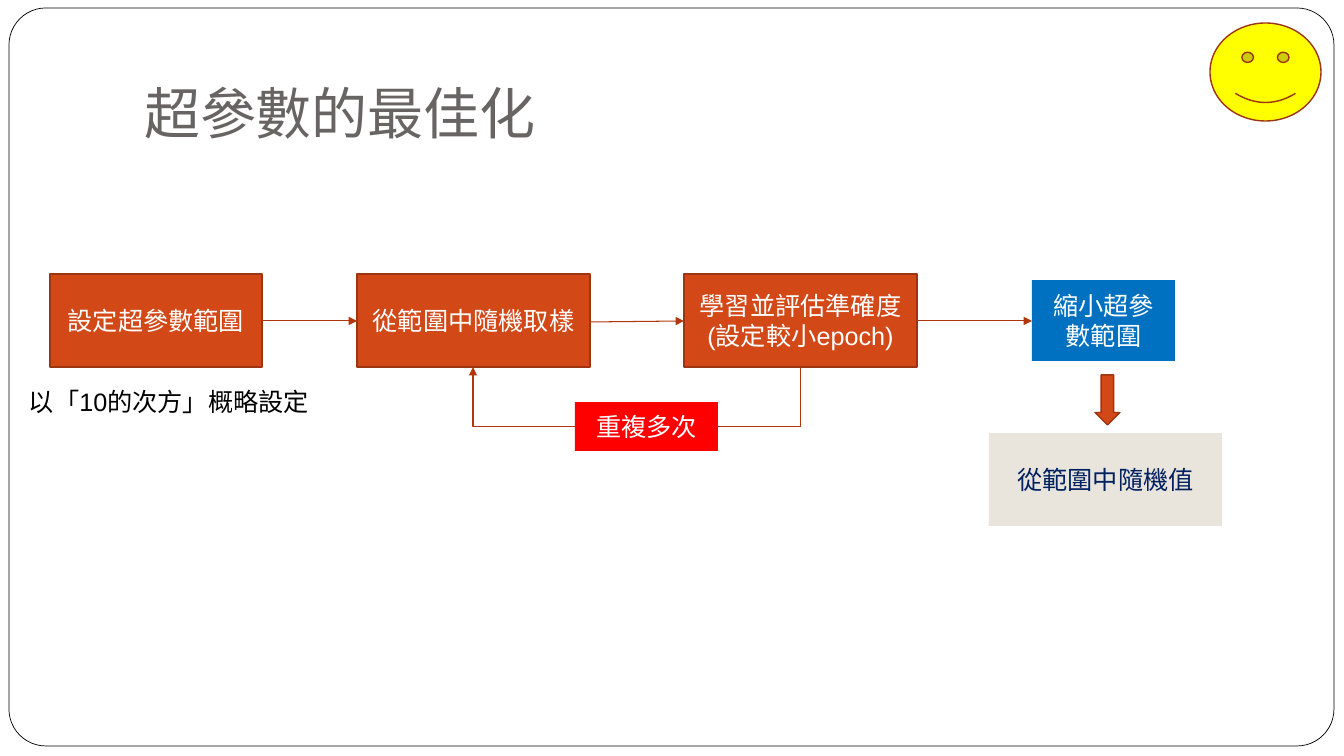
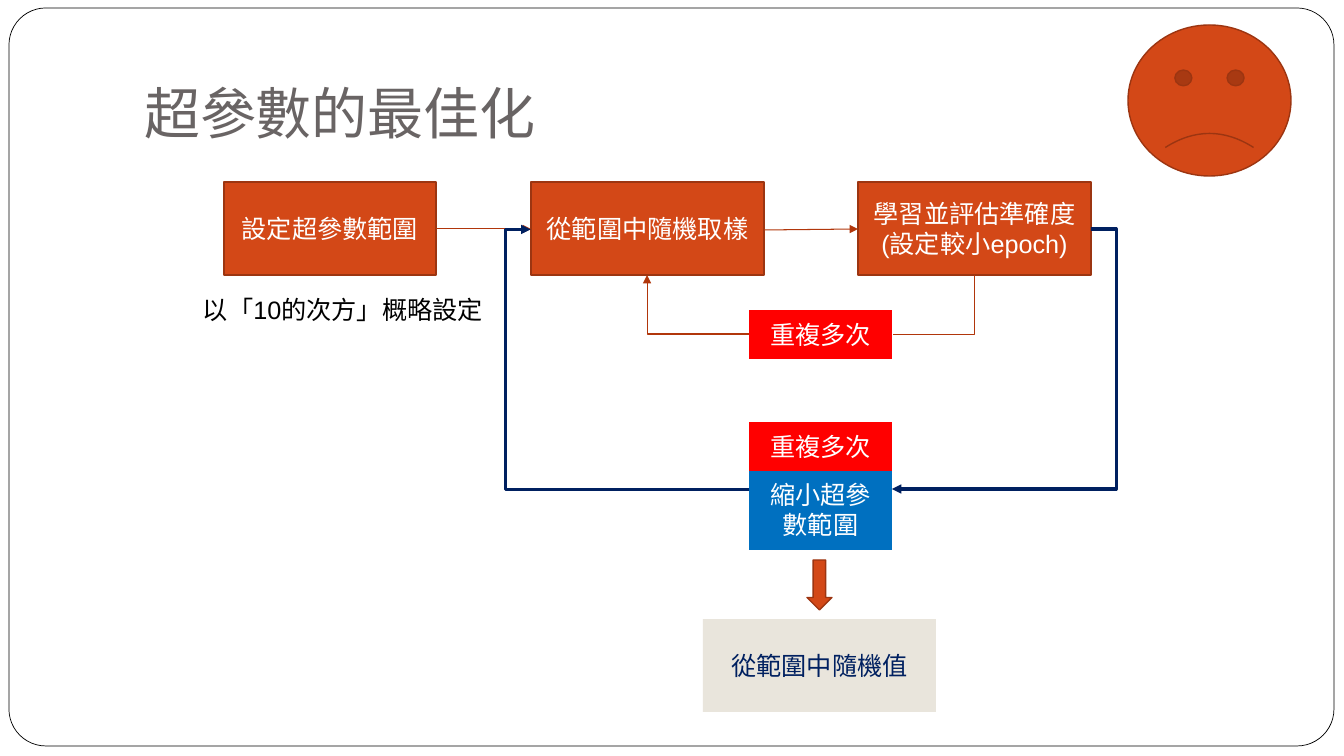
from lxml.etree import SubElement
from pptx import Presentation
from pptx.dml.color import RGBColor
from pptx.enum.shapes import MSO_CONNECTOR, MSO_SHAPE
from pptx.enum.text import MSO_ANCHOR, MSO_AUTO_SIZE, PP_ALIGN
from pptx.oxml.ns import qn
from pptx.util import Emu, Inches, Pt

WHITE = RGBColor(0xFF, 0xFF, 0xFF)
BLACK = RGBColor(0x00, 0x00, 0x00)
GREY = RGBColor(0x69, 0x64, 0x64)
ORANGE = RGBColor(0xD3, 0x48, 0x17)
RUST = RGBColor(0x9C, 0x35, 0x11)
ARROW = RGBColor(0xB1, 0x36, 0x0B)
RED = RGBColor(0xFF, 0x00, 0x00)
BLUE = RGBColor(0x00, 0x70, 0xC0)
BEIGE = RGBColor(0xE9, 0xE5, 0xDC)
NAVY = RGBColor(0x00, 0x20, 0x60)
YELLOW = RGBColor(0xFF, 0xFF, 0x00)

# Content: lengths are pixels
PIXEL = 914400 / 100.8
TITLE = "超參數的最佳化"
NOTE = "以「10的次方」概略設定"
NOTE_AREA = (19, 381, 304, 40)
REPEAT, NARROW, RESULT = "重複多次", "縮小超參數範圍", "從範圍中隨機值"
SMALL, TALL, WIDE, DOWN = (143, 49), (143, 81), (233, 93), (25, 50)

# Boxes: text, place, size, fill, outline, text colour
FLOW_BOXES = [
    ("設定超參數範圍", (50, 274), (212, 93), ORANGE, RUST, WHITE),
    ("從範圍中隨機取樣", (357, 274), WIDE, ORANGE, RUST, WHITE),
    ("學習並評估準確度\n(設定較小epoch)", (684, 274), WIDE, ORANGE, RUST, WHITE),
    (REPEAT, (575, 402), SMALL, RED, None, WHITE),
]
# Links: preset, start and end corner, rotation, adjustments, arrowhead
FLOW_LINKS = [
    ("line", (262, 321, 357, 321), 0, (), True),
    ("line", (590, 322, 684, 321), 0, (), True),
    ("bentConnector2", (730, 356, 789, 438), 90, (), False),
    ("bentConnector2", (473, 367, 575, 426), 180, (), True),
]
SLIDES = [
    {
        "shift": (0, 0),
        "boxes": [
            (NARROW, (1032, 280), TALL, BLUE, None, WHITE),
            (RESULT, (989, 433), WIDE, BEIGE, None, NAVY),
        ],
        "links": [("line", (917, 321, 1032, 321), 0, (), True)],
        "link_style": (ARROW, 0.75),
        "down": (1095, 375),
        "face": ((1210, 23, 111, 98), YELLOW, 0.05),
    },
    {
        "shift": (174, -92),
        "boxes": [
            (NARROW, (749, 469), TALL, BLUE, None, WHITE),
            (REPEAT, (749, 422), SMALL, RED, None, WHITE),
            (RESULT, (703, 619), WIDE, BEIGE, None, NAVY),
        ],
        "links": [
            ("bentConnector4", (1091, 229, 892, 489), 0, (-12700, 100000), True),
            ("bentConnector4", (510, 469, 770, 250), 270, (0, 111500), True),
        ],
        "link_style": (NAVY, 2.25),
        "down": (807, 560),
        "face": ((1128, 25, 163, 151), ORANGE, -0.05),
    },
]


def emu(*pixels):
    return [Emu(round(value * PIXEL)) for value in pixels]


def style_text(frame, text, size, font, colour, align):
    frame.text = text
    frame.word_wrap = True
    for para in frame.paragraphs:
        para.alignment = align
        for span in para.runs:
            span.font.size = Pt(size)
            span.font.name = font
            span.font.color.rgb = colour


def add_figure(page, preset, area, fill, outline, width=1):
    figure = page.shapes.add_shape(preset, *emu(*area))
    figure.shadow.inherit = False
    figure.fill.solid()
    figure.fill.fore_color.rgb = fill
    if outline is None:
        figure.line.fill.background()
    else:
        figure.line.color.rgb = outline
        figure.line.width = Pt(width)
    return figure


def add_boxes(page, boxes, shift=(0, 0)):
    for text, (left, top), size, fill, outline, colour in boxes:
        area = (left + shift[0], top + shift[1], *size)
        box = add_figure(page, MSO_SHAPE.RECTANGLE, area, fill, outline)
        style_text(box.text_frame, text, 18, "Arial", colour, PP_ALIGN.CENTER)


def add_links(page, links, colour, width, shift=(0, 0)):
    for preset, ends, rotation, adjustments, arrowhead in links:
        moved = [end + shift[index % 2] for index, end in enumerate(ends)]
        kind = MSO_CONNECTOR.STRAIGHT if preset == "line" else MSO_CONNECTOR.ELBOW
        link = page.shapes.add_connector(kind, *emu(*moved))
        link.line.color.rgb = colour
        link.line.width = Pt(width)
        properties = link.element.spPr
        if rotation:
            properties.find(qn("a:xfrm")).set("rot", str(rotation * 60000))
        geometry = properties.find(qn("a:prstGeom"))
        geometry.set("prst", preset)
        for number, value in enumerate(adjustments, 1):
            SubElement(geometry.find(qn("a:avLst")), qn("a:gd"),
                       name=f"adj{number}", fmla=f"val {value}")
        if arrowhead:
            SubElement(properties.find(qn("a:ln")), qn("a:tailEnd"), type="triangle")
        SubElement(properties, qn("a:effectLst"))


def prepare_layout(deck, layout):
    # The rounded frame and the title place belong to the layout
    title = layout.placeholders[0]
    title.left, title.top, title.width, title.height = emu(134, 30, 1142, 126)
    page = deck.slides[0]
    frame = add_figure(page, MSO_SHAPE.ROUNDED_RECTANGLE, (9, 8, 1325, 738),
                       WHITE, BLACK, 0.5)
    frame.adjustments[0] = 0.05
    layout.shapes.element.insert(2, frame.element)


def add_title(page):
    frame = page.shapes.title.text_frame
    style_text(frame, TITLE, 40, "Roboto", GREY, PP_ALIGN.LEFT)
    frame.auto_size = MSO_AUTO_SIZE.NONE
    frame.vertical_anchor = MSO_ANCHOR.BOTTOM
    frame.margin_bottom = Inches(0.1)


deck = Presentation()
deck.slide_width, deck.slide_height = emu(1344, 756)
layout = deck.slide_layouts[5]
pages = [deck.slides.add_slide(layout) for _ in SLIDES]
prepare_layout(deck, layout)

for page, content in zip(pages, SLIDES):
    shift = content["shift"]
    add_title(page)

    # Shared flow
    add_boxes(page, FLOW_BOXES, shift)
    add_links(page, FLOW_LINKS, ARROW, 0.75, shift)
    left, top, width, height = NOTE_AREA
    note = page.shapes.add_textbox(*emu(left + shift[0], top + shift[1], width, height))
    style_text(note.text_frame, NOTE, 18, "Arial", BLACK, PP_ALIGN.LEFT)

    # Narrowing step and result
    add_boxes(page, content["boxes"])
    add_links(page, content["links"], *content["link_style"])
    add_figure(page, MSO_SHAPE.DOWN_ARROW, (*content["down"], *DOWN), ORANGE, RUST)

    # Mood face
    area, fill, smile = content["face"]
    face = add_figure(page, MSO_SHAPE.SMILEY_FACE, area, fill, RUST)
    face.adjustments[0] = smile

deck.save("out.pptx")
